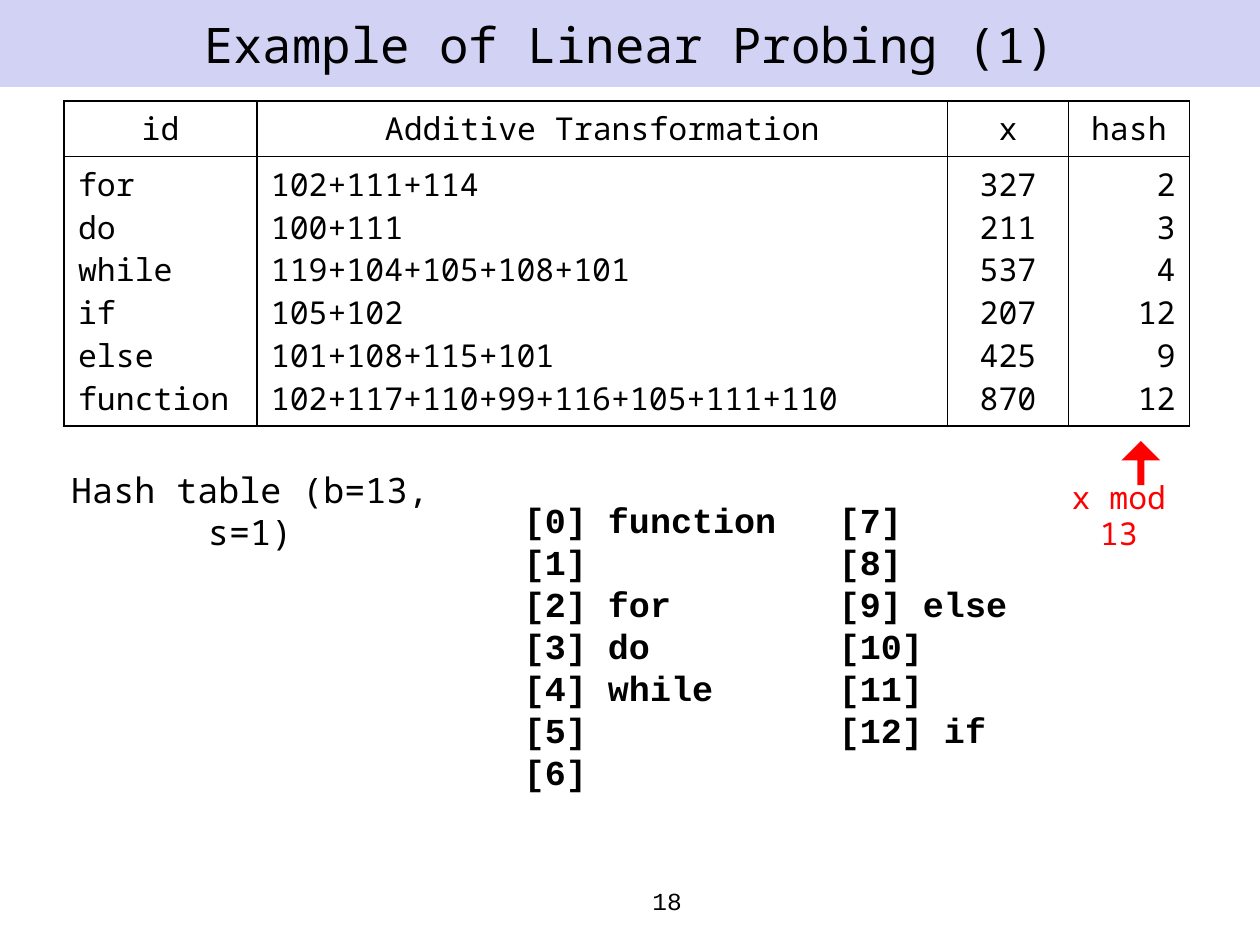
from lxml import etree
from pptx import Presentation
from pptx import util as u
from pptx.dml.color import RGBColor
from pptx.enum import shapes, text
from pptx.oxml.ns import qn

Inches, Pt = u.Inches, u.Pt
COLORS = {"black": "000000", "band": "D2D2F4", "red": "FF0000"}
MONO, COURIER = "Noto Sans Mono", "Courier New"
LEFT, CENTER, RIGHT = text.PP_ALIGN.LEFT, text.PP_ALIGN.CENTER, text.PP_ALIGN.RIGHT


def write(frame, lines, size, align=LEFT, font=MONO, color="black", bold=False, spacing=None):
    """Fill a text frame with one paragraph for each line."""
    for i, line in enumerate(lines):
        paragraph = frame.paragraphs[0] if i == 0 else frame.add_paragraph()
        paragraph.alignment = align
        if spacing:
            paragraph.line_spacing = Pt(spacing)
        run = paragraph.add_run()
        run.text = line
        run.font.size = Pt(size)
        run.font.name = font
        run.font.bold = bold
        run.font.color.rgb = RGBColor.from_string(COLORS[color])


def text_box(left, top, width, height, margin_left=0.1, margin_right=0.1):
    """Add a wrapping text box and return its frame."""
    box = slide.shapes.add_textbox(Inches(left), Inches(top), Inches(width), Inches(height))
    frame = box.text_frame
    frame.word_wrap = True
    frame.margin_left, frame.margin_right = Inches(margin_left), Inches(margin_right)
    return frame


prs = Presentation()
prs.slide_width, prs.slide_height = Inches(10), Inches(7.5)
slide = prs.slides.add_slide(prs.slide_layouts[5])

# Title band
title = slide.shapes.title
title.left, title.top, title.width, title.height = 0, 0, Inches(10), Inches(0.69)
title.fill.solid()
title.fill.fore_color.rgb = RGBColor.from_string(COLORS["band"])
title.text_frame.vertical_anchor = text.MSO_ANCHOR.MIDDLE
title.text_frame.auto_size = text.MSO_AUTO_SIZE.NONE
write(title.text_frame, ["Example of Linear Probing (1)"], 28, CENTER)

# Transformation table: heading, width, alignment, values
columns = [
    ("id", 1.53, LEFT, ["for", "do", "while", "if", "else", "function"]),
    ("Additive Transformation", 5.48, LEFT,
     ["102+111+114", "100+111", "119+104+105+108+101", "105+102",
      "101+108+115+101", "102+117+110+99+116+105+111+110"]),
    ("x", 0.96, CENTER, ["327", "211", "537", "207", "425", "870"]),
    ("hash", 0.96, RIGHT, ["2", "3", "4", "12", "9", "12"]),
]
hashes = slide.shapes.add_table(
    2, len(columns), Inches(0.51), Inches(0.8), Inches(8.93), Inches(2.58)).table
hashes.first_row = hashes.horz_banding = False
hashes.rows[0].height, hashes.rows[1].height = Inches(0.44), Inches(2.14)
for c, (heading, width, align, values) in enumerate(columns):
    hashes.columns[c].width = Inches(width)
    for r, (lines, cell_align) in enumerate([([heading], CENTER), (values, align)]):
        cell = hashes.cell(r, c)
        cell.margin_left = cell.margin_right = Inches(0.11)
        write(cell.text_frame, lines, 18, cell_align)
        properties = cell._tc.get_or_add_tcPr()
        for side in ("lnL", "lnR", "lnT", "lnB"):
            border = etree.SubElement(properties, qn(f"a:{side}"), w=str(Pt(1)))
            line_fill = etree.SubElement(border, qn("a:solidFill"))
            etree.SubElement(line_fill, qn("a:srgbClr"), val=COLORS["black"])
        cell.fill.background()

# Slide number
write(text_box(3.43, 6.98, 2.08, 0.31), ["18"], 14, RIGHT, COURIER)

# Hash table contents, in two columns of buckets
stored = {0: "function", 2: "for", 3: "do", 4: "while", 9: "else", 12: "if"}
buckets = [f"[{i}] {stored.get(i, '')}".strip() for i in range(13)]
bucket_lines = ["\t".join(buckets[i::7]) for i in range(7)]
bucket_frame = text_box(4.06, 3.91, 5, 2.46)
write(bucket_frame, bucket_lines, 20, font=COURIER, bold=True, spacing=24)
for paragraph in bucket_frame.paragraphs:
    tabs = etree.SubElement(paragraph._p.get_or_add_pPr(), qn("a:tabLst"))
    etree.SubElement(tabs, qn("a:tab"), pos=str(Inches(2.5)), algn="l")

# Labels
write(text_box(0.47, 3.67, 3.6, 0.44, 0.08, 0.65), ["Hash table (b=13, s=1)"],
      20, CENTER, spacing=24)
write(text_box(8.41, 3.75, 1.31, 0.4, 0.05, 0.42), ["x mod 13"],
      18, CENTER, color="red", spacing=21)

# Arrow up to the hash column
arrow = slide.shapes.add_shape(
    shapes.MSO_SHAPE.UP_ARROW, Inches(8.9), Inches(3.5), Inches(0.31), Inches(0.35))
arrow.adjustments[0], arrow.adjustments[1] = 0.18, 0.5
arrow.shadow.inherit = False
arrow.fill.solid()
arrow.fill.fore_color.rgb = RGBColor.from_string(COLORS["red"])
arrow.line.fill.background()

prs.save("out.pptx")
